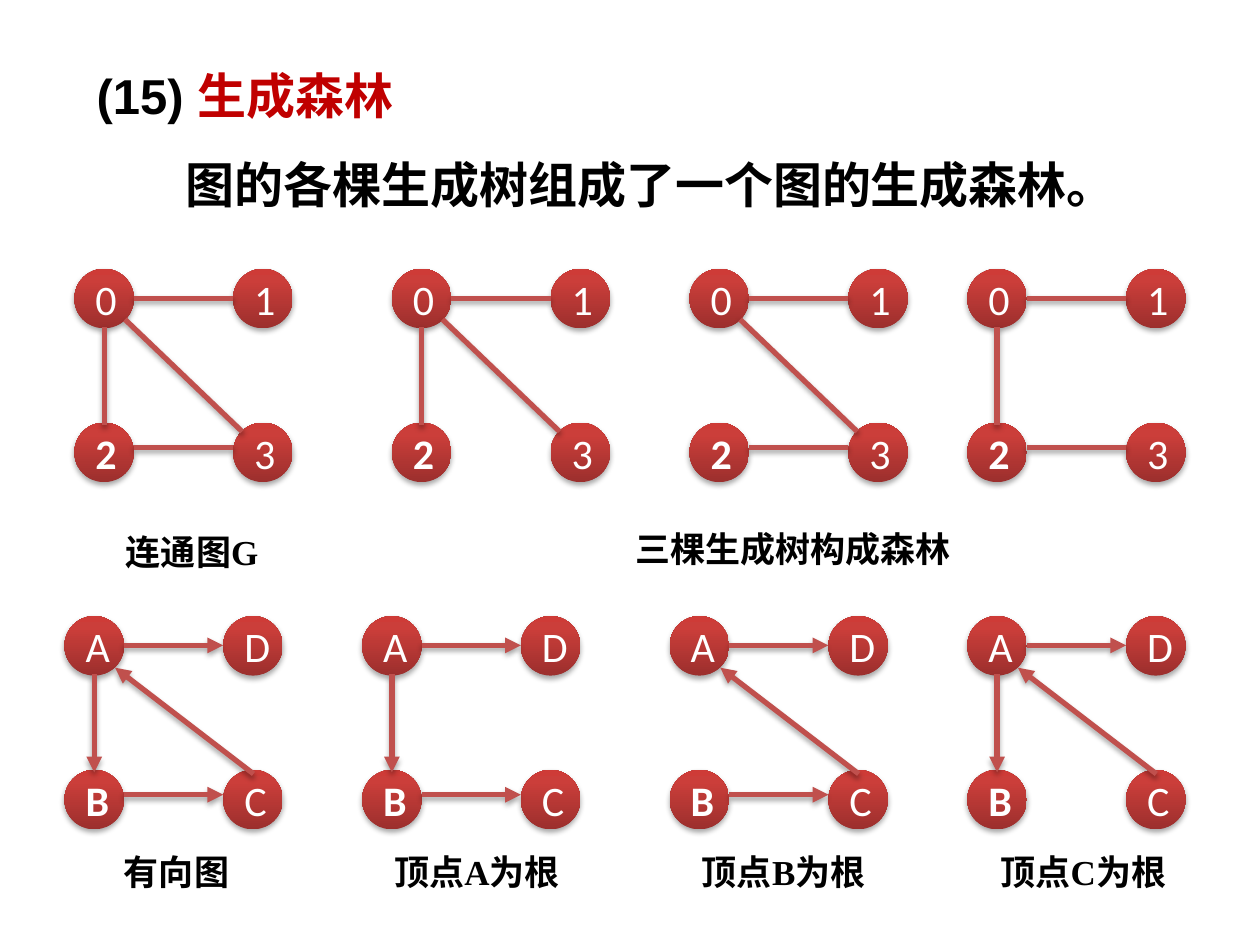
from lxml import etree
from pptx import Presentation
from pptx.dml.color import RGBColor
from pptx.enum.shapes import MSO_CONNECTOR as CONN, MSO_SHAPE as SHAPE
from pptx.enum.text import MSO_ANCHOR as ANCHOR, PP_ALIGN as ALIGN
from pptx.oxml.ns import qn
from pptx.util import Cm, Pt

CJK_FONT = "Noto Sans CJK SC"
NODE_SIZE = 1.2
# Node positions and edge ends, in cm from the top left of a graph
CORNERS = [(0, 0), (3.2, 0), (0, 3.1), (3.2, 3.1)]
TOP = ((1.2, 0.59), (3.2, 0.59))
BOTTOM = ((1.2, 3.6), (3.2, 3.6))
DOWN = ((0.6, 1.17), (0.6, 3.15))
DIAGONAL = ((1.02, 1.02), (3.38, 3.28))
BACK = ((3.81, 3.18), (1.02, 1.04))

# Left edge and edges of each graph
UNDIRECTED = [
    (1.5, [DOWN, DIAGONAL, TOP, BOTTOM]),
    (7.9, [DOWN, DIAGONAL, TOP]),
    (13.9, [DIAGONAL, TOP, BOTTOM]),
    (19.5, [DOWN, TOP, BOTTOM]),
]
DIRECTED = [
    (1.3, [DOWN, BACK, TOP, BOTTOM]),
    (7.3, [DOWN, TOP, BOTTOM]),
    (13.5, [BACK, TOP, BOTTOM]),
    (19.5, [DOWN, BACK, TOP]),
]
# Text, left, top, width, alignment
CAPTIONS = [
    ("连通图G", 2.29, 10.57, 3.23, ALIGN.LEFT),
    ("三棵生成树构成森林", 10.11, 10.51, 11.76, ALIGN.CENTER),
    ("有向图", 2.25, 17.02, 2.75, ALIGN.LEFT),
    ("顶点A为根", 7.7, 17.02, 3.88, ALIGN.LEFT),
    ("顶点B为根", 13.9, 17.02, 3.88, ALIGN.LEFT),
    ("顶点C为根", 19.92, 17.02, 3.88, ALIGN.LEFT),
]


def color(value):
    return RGBColor.from_string(value)


def style_run(r, size, font, value, bold=False):
    r.font.size = Pt(size)
    r.font.name = font
    r.font.bold = bold
    r.font.color.rgb = color(value)
    ea = etree.SubElement(r._r.get_or_add_rPr(), qn("a:ea"))
    ea.set("typeface", CJK_FONT)


def add_shadow(sp):
    effects = etree.SubElement(sp._element.spPr, qn("a:effectLst"))
    shadow = etree.SubElement(effects, qn("a:outerShdw"), blurRad="40000",
                              dist="23000", dir="5400000", rotWithShape="0")
    black = etree.SubElement(shadow, qn("a:srgbClr"), val="000000")
    etree.SubElement(black, qn("a:alpha"), val="35000")


def fill_gradient(sp, stops):
    sp.fill.gradient()
    sp.fill.gradient_angle = 90
    stop_list = sp._element.spPr.find(".//" + qn("a:gsLst"))
    for old in list(stop_list):
        stop_list.remove(old)
    for percent, value in stops:
        stop = etree.SubElement(stop_list, qn("a:gs"), pos=str(percent * 1000))
        etree.SubElement(stop, qn("a:srgbClr"), val=value)


def add_node(shapes, label, left, top):
    sp = shapes.add_shape(SHAPE.OVAL, Cm(left), Cm(top), Cm(NODE_SIZE), Cm(NODE_SIZE))
    fill_gradient(sp, [(0, "9C2F2D"), (80, "CB3E3A"), (100, "CE3B37")])
    sp.line.fill.background()
    add_shadow(sp)
    tf = sp.text_frame
    tf.text = label
    tf.vertical_anchor = ANCHOR.MIDDLE
    p = tf.paragraphs[0]
    p.alignment = ALIGN.CENTER
    style_run(p.runs[0], 24, "Calibri", "FFFFFF", bold=label in "2B")


def add_edge(shapes, start, end, left, top, directed):
    line = shapes.add_connector(CONN.STRAIGHT, Cm(left + start[0]), Cm(top + start[1]),
                                Cm(left + end[0]), Cm(top + end[1]))
    line.line.color.rgb = color("C0504D")
    line.line.width = Pt(3)
    if directed:
        etree.SubElement(line.line._get_or_add_ln(), qn("a:tailEnd"), type="triangle")
    add_shadow(line)


def add_graph(slide, labels, edges, left, top, directed):
    shapes = slide.shapes.add_group_shape().shapes
    for label, (dx, dy) in zip(labels, CORNERS):
        add_node(shapes, label, left + dx, top + dy)
    for start, end in edges:
        add_edge(shapes, start, end, left, top, directed)


def add_caption(slide, text, left, top, width, alignment):
    tf = slide.shapes.add_textbox(Cm(left), Cm(top), Cm(width), Cm(1.11)).text_frame
    tf.word_wrap = True
    tf.text = text
    p = tf.paragraphs[0]
    p.alignment = alignment
    style_run(p.runs[0], 20, "Times New Roman", "000000", bold=True)


def add_heading(slide):
    tf = slide.shapes.add_textbox(Cm(1.7), Cm(0.61), Cm(21.82), Cm(3.63)).text_frame
    tf.word_wrap = True
    title, statement = tf.paragraphs[0], tf.add_paragraph()
    statement._p.get_or_add_pPr().set("marL", str(Cm(1.8)))
    for p, text, font, value in [
        (title, "(15) ", "Arial", "000000"),
        (title, "生成森林", CJK_FONT, "C00000"),
        (statement, "图的各棵生成树组成了一个图的生成森林。", CJK_FONT, "000000"),
    ]:
        p.line_spacing = 1.5
        r = p.add_run()
        r.text = text
        style_run(r, 28, font, value, bold=True)


def main():
    prs = Presentation()
    prs.slide_width, prs.slide_height = Cm(25.4), Cm(19.05)
    slide = prs.slides.add_slide(prs.slide_layouts[6])

    # Heading and definition
    add_heading(slide)

    # Connected graph and its spanning trees
    for left, edges in UNDIRECTED:
        add_graph(slide, "0123", edges, left, 5.42, directed=False)

    # Directed graph and its rooted trees
    for left, edges in DIRECTED:
        add_graph(slide, "ADBC", edges, left, 12.42, directed=True)

    # Captions
    for caption in CAPTIONS:
        add_caption(slide, *caption)

    prs.save("out.pptx")


if __name__ == "__main__":
    main()
